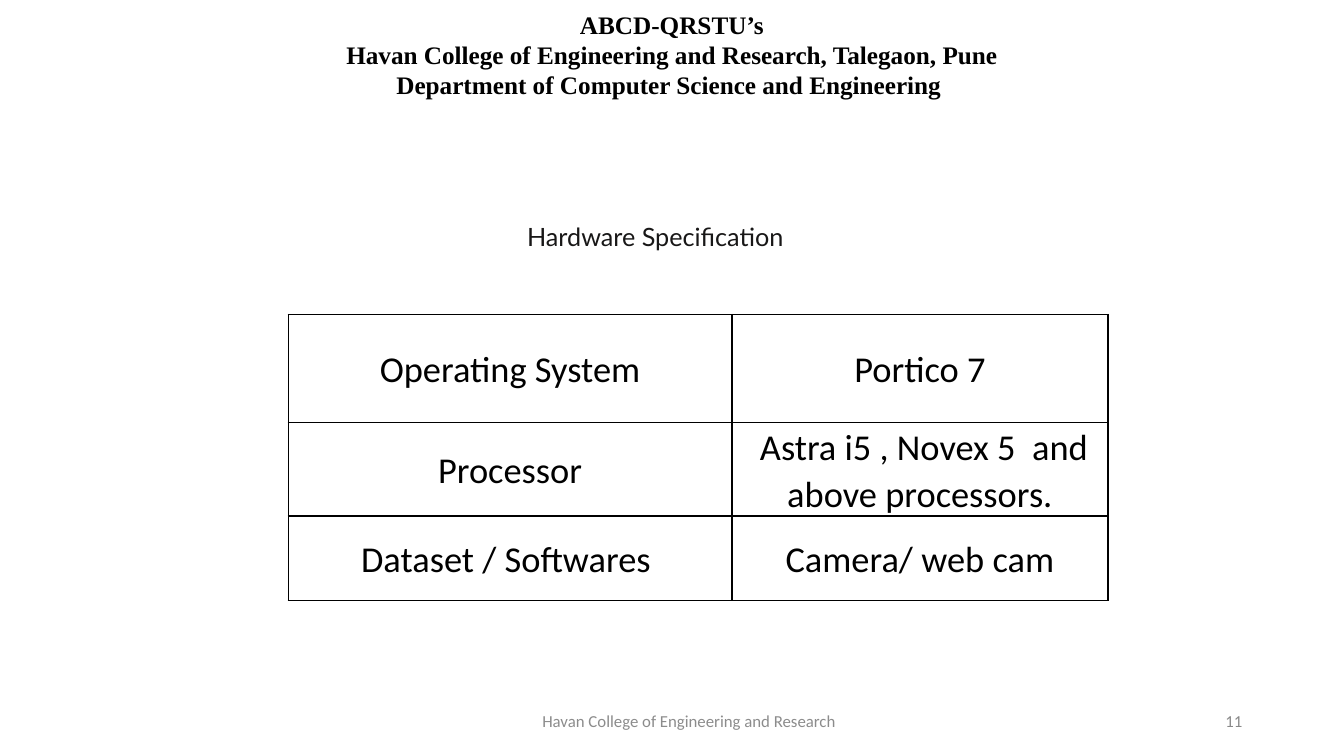
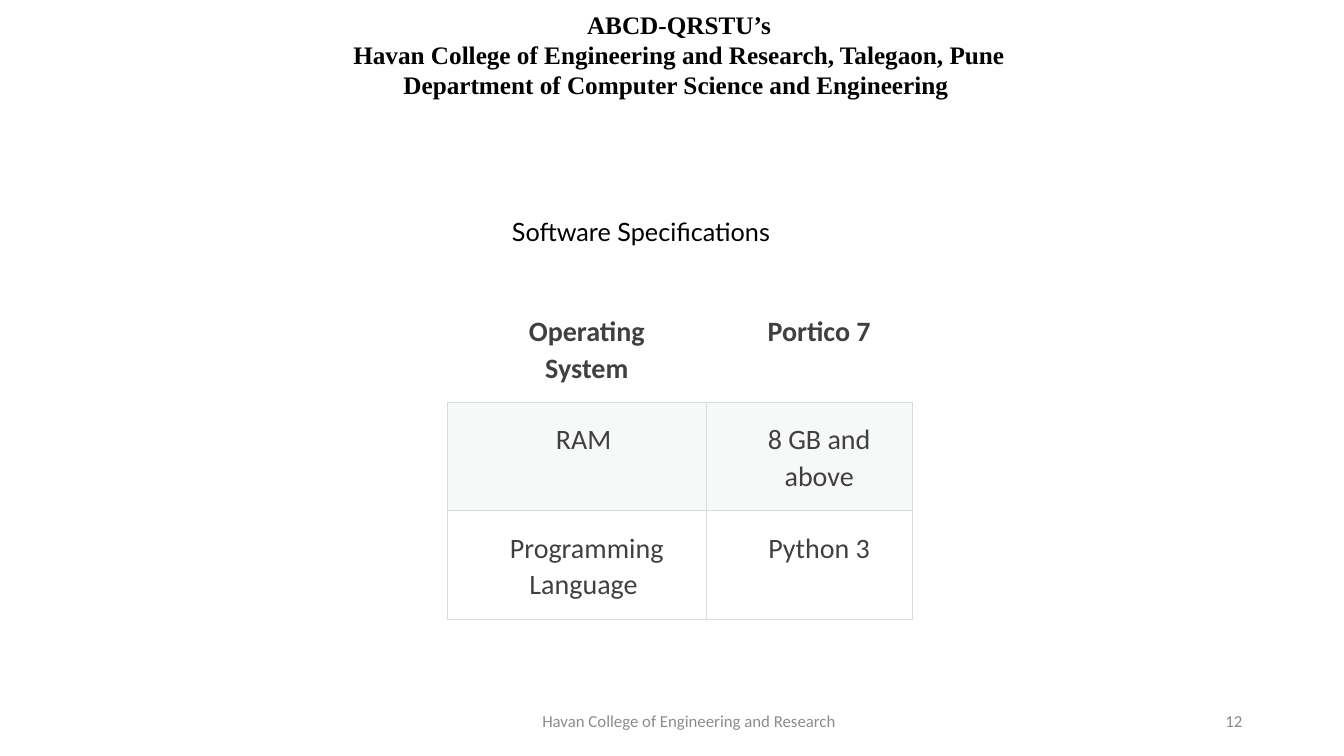
from lxml import etree
from pptx import Presentation
from pptx.dml.color import RGBColor
from pptx.enum.text import MSO_ANCHOR, MSO_AUTO_SIZE, PP_ALIGN
from pptx.oxml.ns import qn
from pptx.util import Pt

LEFT, CENTER, RIGHT = PP_ALIGN.LEFT, PP_ALIGN.CENTER, PP_ALIGN.RIGHT
TOP, MIDDLE = MSO_ANCHOR.TOP, MSO_ANCHOR.MIDDLE
GROW, FIXED = MSO_AUTO_SIZE.SHAPE_TO_FIT_TEXT, MSO_AUTO_SIZE.NONE

EMU_PER_PX = 9144
SLIDE_SIZE = (1333, 750)
COLORS = {
    "black": "000000",
    "heading": "181717",
    "footer": "8C8C8C",
    "number": "898989",
    "cell_text": "404040",
    "rule": "D8DCDC",
    "band": "D8DEDC",
}
HEADER_FONT = {"name": "Times New Roman", "size": Pt(18), "bold": True}
HEADING_FONT = {"name": "Lato", "size": Pt(18)}
FOOTER_FONT = {"name": "Calibri", "size": Pt(12)}
CELL_PARAGRAPH = {"alignment": CENTER, "line_spacing": 1.07, "space_after": Pt(8)}
HEADER_LINES = [
    "ABCD-QRSTU’s",
    "Havan College of Engineering and Research, Talegaon, Pune\n"
    "Department of Computer Science and Engineering ",
]
FOOTER_TEXT = "Havan College of Engineering and Research"
FOOTER_BOX = (442, 695, 483, 40)
NUMBER_BOX = (942, 695, 300, 40)
ALL_SIDES = "LRTB"


def px(length):
    return round(length * EMU_PER_PX)


def apply(target, values):
    for name, value in values.items():
        setattr(target, name, value)


def write_paragraph(paragraph, text, font, color, layout):
    paragraph.text = text
    apply(paragraph, layout)
    for run in paragraph.runs:
        apply(run.font, font)
        run.font.color.rgb = RGBColor.from_string(COLORS[color])


def add_text(slide, box, lines, font, color, alignment=LEFT, anchor=TOP, auto_size=FIXED):
    frame = slide.shapes.add_textbox(*map(px, box)).text_frame
    apply(frame, {"word_wrap": True, "auto_size": auto_size, "vertical_anchor": anchor})
    for index, line in enumerate(lines):
        paragraph = frame.add_paragraph() if index else frame.paragraphs[0]
        write_paragraph(paragraph, line, font, color, {"alignment": alignment})


def add_header(slide, box):
    add_text(slide, box, HEADER_LINES, HEADER_FONT, "black", CENTER, auto_size=GROW)


def add_footer(slide, number):
    add_text(slide, FOOTER_BOX, [FOOTER_TEXT], FOOTER_FONT, "footer", CENTER, MIDDLE)
    add_text(slide, NUMBER_BOX, [str(number)], FOOTER_FONT, "number", RIGHT, MIDDLE)


def draw_borders(cell, sides, color, width):
    properties = cell._tc.get_or_add_tcPr()
    for side in sides:
        line = etree.SubElement(properties, qn(f"a:ln{side}"), w=str(Pt(width)))
        fill = etree.SubElement(line, qn("a:solidFill"))
        etree.SubElement(fill, qn("a:srgbClr"), val=COLORS[color])


def fill_cell(cell, color, opacity):
    if color is None:
        cell.fill.background()
        return
    cell.fill.solid()
    cell.fill.fore_color.rgb = RGBColor.from_string(COLORS[color])
    color_element = cell._tc.tcPr.find(f".//{qn('a:solidFill')}/{qn('a:srgbClr')}[last()]")
    for color_element in cell._tc.tcPr.findall(f"{qn('a:solidFill')}/{qn('a:srgbClr')}"):
        etree.SubElement(color_element, qn("a:alpha"), val=str(opacity * 1000))


def add_specification_table(slide, origin, widths, heights, rows, style):
    size = (sum(widths), sum(heights))
    table = slide.shapes.add_table(
        len(rows), len(widths), *map(px, origin + size)
    ).table
    apply(table, {"first_row": False, "horz_banding": False})
    for column, width in zip(table.columns, widths):
        column.width = px(width)
    for row_index, (row, height, texts) in enumerate(zip(table.rows, heights, rows)):
        row.height = px(height)
        for cell, text in zip(row.cells, texts):
            apply(cell, style["cell"])
            font = {**style["font"], "bold": style["bold_top"] and row_index == 0}
            write_paragraph(
                cell.text_frame.paragraphs[0], text, font, style["color"], CELL_PARAGRAPH
            )
            draw_borders(cell, style["sides"][row_index], *style["border"])
            fill_cell(cell, style["fills"][row_index], 20)


def cell_format(left, top, right, bottom, anchor):
    return {
        "margin_left": px(left),
        "margin_top": px(top),
        "margin_right": px(right),
        "margin_bottom": px(bottom),
        "vertical_anchor": anchor,
    }


GRID_STYLE = {
    "cell": cell_format(7, 0, 7, 0, MIDDLE),
    "font": {"name": "Calibri", "size": Pt(26)},
    "color": "black",
    "bold_top": False,
    "border": ("black", 1),
    "sides": [ALL_SIDES] * 3,
    "fills": [None] * 3,
}
BANDED_STYLE = {
    "cell": cell_format(37, 18, 18, 18, TOP),
    "font": {"name": "Calibri", "size": Pt(20)},
    "color": "cell_text",
    "bold_top": True,
    "border": ("rule", 0.75),
    "sides": ["B", ALL_SIDES, ALL_SIDES],
    "fills": [None, "band", None],
}
SPECIFICATIONS = [
    {
        "number": 11,
        "header_box": (153, 4, 1027, 101),
        "heading": ("Hardware Specification", "heading", (513, 215, 667, 40)),
        "table": {
            "origin": (286, 312),
            "widths": (440, 373),
            "heights": (107, 93, 84),
            "rows": [
                ("Operating System", "Portico 7"),
                ("Processor", " Astra i5 , Novex 5  and above processors."),
                ("Dataset / Softwares ", "Camera/ web cam"),
            ],
            "style": GRID_STYLE,
        },
    },
    {
        "number": 12,
        "header_box": (157, 4, 1033, 101),
        "heading": ("Software Specifications", "black", (498, 210, 667, 40)),
        "table": {
            "origin": (444, 292),
            "widths": (257, 204),
            "heights": (106, 106, 106),
            "rows": [
                ("Operating System", "Portico 7"),
                ("RAM ", "8 GB and above"),
                ("Programming Language ", "Python 3"),
            ],
            "style": BANDED_STYLE,
        },
    },
]


def add_specification_slide(presentation, specification):
    slide = presentation.slides.add_slide(presentation.slide_layouts[6])
    add_header(slide, specification["header_box"])
    text, color, box = specification["heading"]
    add_text(slide, box, [text], HEADING_FONT, color, auto_size=GROW)
    add_specification_table(slide, **specification["table"])
    add_footer(slide, specification["number"])


def main():
    presentation = Presentation()
    presentation.slide_width, presentation.slide_height = map(px, SLIDE_SIZE)
    for specification in SPECIFICATIONS:
        add_specification_slide(presentation, specification)
    presentation.save("out.pptx")


if __name__ == "__main__":
    main()
